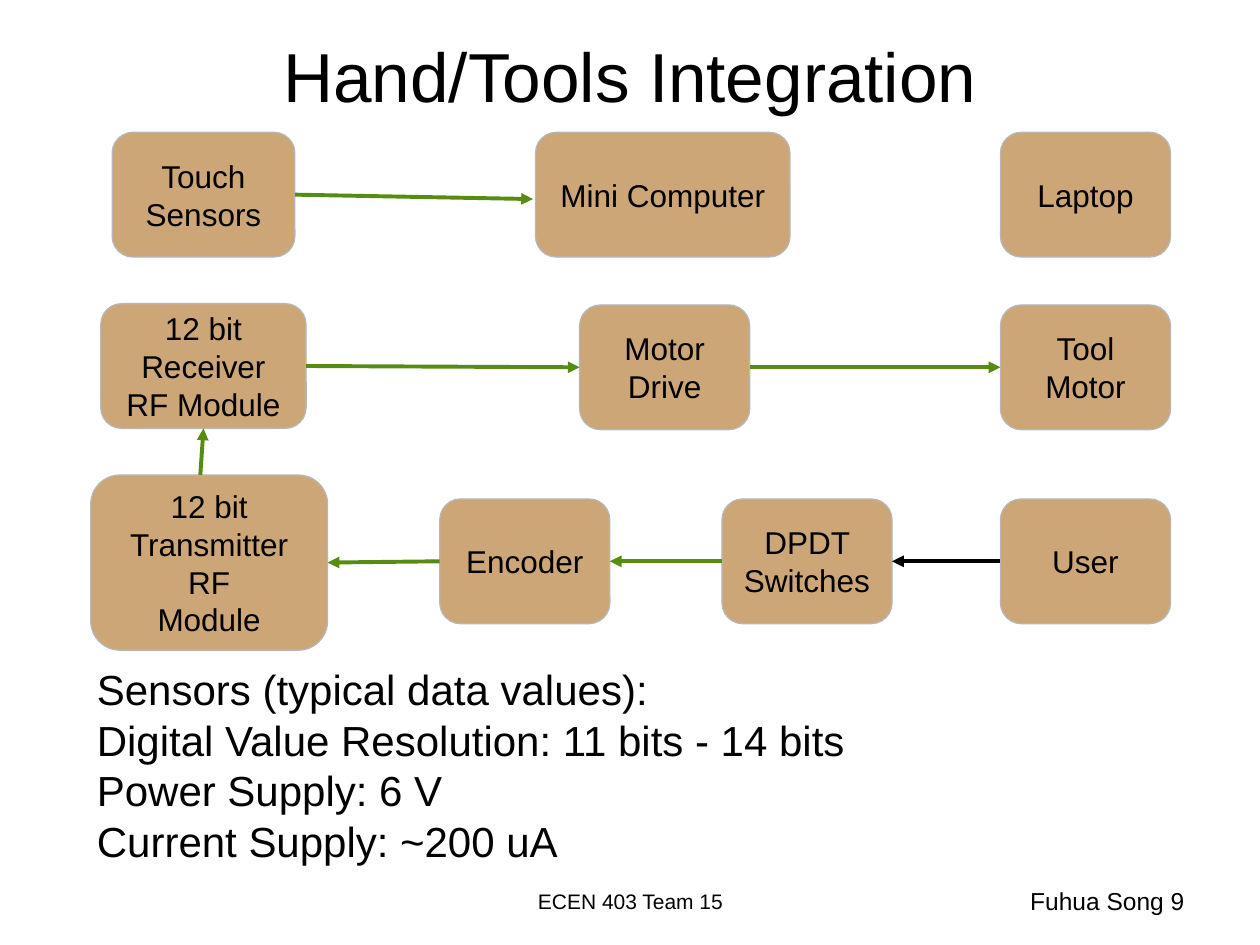
from pptx import Presentation
from pptx.dml.color import RGBColor
from pptx.enum.shapes import MSO_CONNECTOR, MSO_SHAPE
from pptx.enum.text import MSO_ANCHOR, PP_ALIGN
from pptx.oxml.ns import qn
from pptx.util import Inches, Pt
from lxml import etree

STRAIGHT = MSO_CONNECTOR.STRAIGHT
ROUND_RECT = MSO_SHAPE.ROUNDED_RECTANGLE
TOP, MIDDLE = MSO_ANCHOR.TOP, MSO_ANCHOR.MIDDLE
LEFT, CENTER, RIGHT = PP_ALIGN.LEFT, PP_ALIGN.CENTER, PP_ALIGN.RIGHT
SIDE_TOP, SIDE_LEFT, SIDE_BOTTOM, SIDE_RIGHT = range(4)

THEME = {
    "font": "Arial", "text": "000000", "box": "CCA677", "border": "B7B7B7",
    "signal": "568C11", "manual": "000000",
    "title": 39.6, "body": 24, "label": 18, "author": 14, "footer": 12,
    "border_width": 0.75, "arrow_width": 2.25, "corner": 0.167,
}

TEXTS = [
    (["Hand/Tools Integration"], (0.5, -0.03, 9, 1.25), "title", CENTER, MIDDLE, 0.05),
    (["Sensors (typical data values):",
      "Digital Value Resolution: 11 bits - 14 bits",
      "Power Supply: 6 V",
      "Current Supply: ~200 uA"], (0.67, 5.17, 8.49, 1.27), "body", LEFT, TOP, 0.1),
    (["ECEN 403 Team 15"], (3.42, 6.95, 3.17, 0.4), "footer", CENTER, MIDDLE, 0.05),
    (["Fuhua Song 9"], (7.17, 6.95, 2.33, 0.4), "author", RIGHT, MIDDLE, 0.05),
]

BOX_W, BOX_H = 1.35, 0.99
ROW_1, ROW_2, ROW_3 = 1.05, 2.42, 3.96
LAST_COL = 7.94
BOXES = {
    "touch": (["Touch", "Sensors"], (0.89, ROW_1, 1.45, BOX_H)),
    "computer": (["Mini Computer"], (4.25, ROW_1, 2.02, BOX_H)),
    "laptop": (["Laptop"], (LAST_COL, ROW_1, BOX_W, BOX_H)),
    "receiver": (["12 bit Receiver RF Module"], (0.8, 2.41, 1.63, BOX_H)),
    "drive": (["Motor Drive"], (4.6, ROW_2, BOX_W, BOX_H)),
    "motor": (["Tool Motor"], (LAST_COL, ROW_2, BOX_W, BOX_H)),
    "transmitter": (["12 bit Transmitter RF", "Module"], (0.72, 3.77, 1.88, 1.39)),
    "encoder": (["Encoder"], (3.49, ROW_3, BOX_W, BOX_H)),
    "switches": (["DPDT Switches"], (5.73, ROW_3, BOX_W, BOX_H)),
    "user": (["User"], (LAST_COL, ROW_3, BOX_W, BOX_H)),
}

ARROWS = [
    (("touch", SIDE_RIGHT), (4.23, 1.58), "signal"),
    (("receiver", SIDE_RIGHT), ("drive", SIDE_LEFT), "signal"),
    (("drive", SIDE_RIGHT), ("motor", SIDE_LEFT), "signal"),
    (("user", SIDE_LEFT), ("switches", SIDE_RIGHT), "manual"),
    (("switches", SIDE_LEFT), ("encoder", SIDE_RIGHT), "signal"),
    (("encoder", SIDE_LEFT), ("transmitter", SIDE_RIGHT), "signal"),
    ((1.59, 3.77), ("receiver", SIDE_BOTTOM), "signal"),
]


def color(name):
    return RGBColor.from_string(THEME[name])


def write(sp, lines, size, align, anchor, inset_y):
    tf = sp.text_frame
    frame = {"word_wrap": True, "vertical_anchor": anchor,
             "margin_left": Inches(0.1), "margin_right": Inches(0.1),
             "margin_top": Inches(inset_y), "margin_bottom": Inches(inset_y)}
    for name, value in frame.items():
        setattr(tf, name, value)
    for i, line in enumerate(lines):
        p = tf.paragraphs[0] if i == 0 else tf.add_paragraph()
        p.alignment = align
        r = p.add_run()
        r.text = line
        for name, value in {"name": THEME["font"], "size": Pt(THEME[size])}.items():
            setattr(r.font, name, value)
        r.font.color.rgb = color("text")


def add_box(s, lines, at):
    sp = s.shapes.add_shape(ROUND_RECT, *map(Inches, at))
    sp.shadow.inherit = False
    sp.adjustments[0] = THEME["corner"]
    sp.fill.solid()
    sp.fill.fore_color.rgb = color("box")
    sp.line.color.rgb = color("border")
    sp.line.width = Pt(THEME["border_width"])
    write(sp, lines, "label", CENTER, MIDDLE, 0.1)
    return sp


def add_arrow(s, boxes, start, end, line_color):
    points = [(0, 0) if e[0] in boxes else tuple(map(Inches, e)) for e in (start, end)]
    cx = s.shapes.add_connector(STRAIGHT, *points[0], *points[1])
    for (target, side), connect in ((start, cx.begin_connect), (end, cx.end_connect)):
        if target in boxes:
            connect(boxes[target], side)
    cx.line.color.rgb = color(line_color)
    cx.line.width = Pt(THEME["arrow_width"])
    ln = cx.line._get_or_add_ln()
    etree.SubElement(ln, qn("a:tailEnd"), type="triangle")
    etree.SubElement(ln.getparent(), qn("a:effectLst"))


def main():
    prs = Presentation()
    prs.slide_width, prs.slide_height = Inches(10), Inches(7.5)
    s = prs.slides.add_slide(prs.slide_layouts[6])
    for lines, at, *style in TEXTS:
        write(s.shapes.add_textbox(*map(Inches, at)), lines, *style)
    boxes = {name: add_box(s, *box) for name, box in BOXES.items()}
    for arrow in ARROWS:
        add_arrow(s, boxes, *arrow)
    prs.save("out.pptx")


if __name__ == "__main__":
    main()
